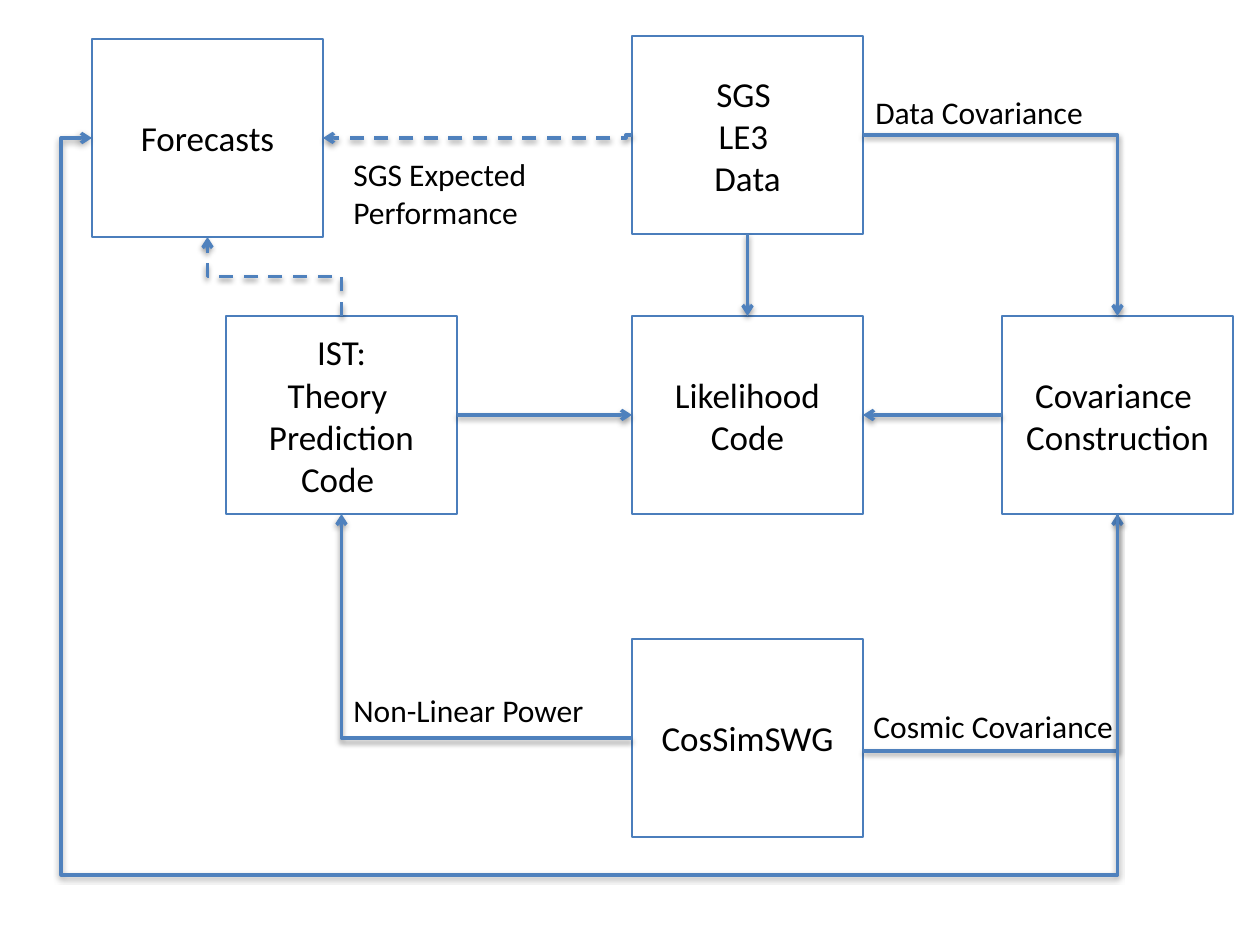
"""Build the pipeline diagram linking forecasts, theory, data and covariance."""
import dataclasses

import lxml.etree
import pptx
import pptx.dml.color
import pptx.enum.dml
import pptx.enum.shapes
import pptx.enum.text
import pptx.oxml
import pptx.oxml.ns
import pptx.util

SCALE = 914400 / 126
BOX_WIDTH, BOX_HEIGHT = 231, 198
SIDES = {"top": (0, 0.5, 0), "left": (1, 0, 0.5), "bottom": (2, 0.5, 1), "right": (3, 1, 0.5)}

BOXES = {
    "likelihood": (632, 316, "Likelihood\nCode"),
    "data": (632, 36, "SGS \nLE3 \nData"),
    "theory": (226, 316, "IST:\nTheory \nPrediction\nCode "),
    "covariance": (1002, 316, "Covariance \nConstruction"),
    "simulation": (632, 639, "CosSimSWG"),
    "forecasts": (92, 39, "Forecasts"),
}

LABELS = [
    (863, 87, 237, 50, "Data Covariance"),
    (861, 701, 268, 50, "Cosmic Covariance"),
    (341, 685, 258, 50, "Non-Linear Power"),
    (341, 149, 200, 89, "SGS Expected\nPerformance"),
]

ROUTES = [
    ("data", "bottom", "likelihood", "top", {"bends": 3, "turn": 90, "adjust": [0.06]}),
    ("data", "right", "covariance", "top", {"bends": 2}),
    ("simulation", "right", "covariance", "bottom", {"bends": 2, "flip": "flipV", "drop": 13}),
    ("simulation", "left", "theory", "bottom", {"bends": 2, "turn": 180}),
    ("theory", "right", "likelihood", "left", {"bends": 3, "adjust": [0.01]}),
    ("covariance", "left", "likelihood", "right", {"bends": 3, "turn": 180, "adjust": [0.03]}),
    ("theory", "top", "forecasts", "bottom",
     {"bends": 3, "turn": 270, "flip": "flipV", "adjust": [0.5], "dashed": True}),
    ("data", "left", "forecasts", "right",
     {"bends": 3, "turn": 180, "flip": "flipV", "adjust": [0.02], "dashed": True}),
    ("covariance", "bottom", "forecasts", "left",
     {"bends": 4, "turn": 90, "flip": "flipH", "adjust": [-0.96, 1.03]}),
]


@dataclasses.dataclass(frozen=True)
class Theme:
    """Hold the colours, font and sizes of the diagram."""
    font: str = "Calibri"
    text: str = "000000"
    outline: str = "4B7EBC"
    arrow: str = "4F81BD"
    box_size: int = 20
    label_size: int = 18
    outline_width: float = 0.75
    arrow_width: int = 2


THEME = Theme()


def px(length):
    """Turn pixels into EMU."""
    return pptx.util.Emu(round(length * SCALE))


def set_attributes(target, values):
    """Set each named attribute of the target."""
    for name, value in values.items():
        setattr(target, name, value)


def write_text(shape, text, size, frame_format, alignment):
    """Write one paragraph per line of text."""
    frame = shape.text_frame
    set_attributes(frame, frame_format)
    frame.text = text
    for para in frame.paragraphs:
        para.alignment = alignment
        for span in para.runs:
            set_attributes(span.font, {"name": THEME.font, "size": pptx.util.Pt(size)})
            span.font.color.rgb = pptx.dml.color.RGBColor.from_string(THEME.text)


def format_line(line, colour, width):
    """Give a line its colour and width."""
    line.color.rgb = pptx.dml.color.RGBColor.from_string(colour)
    line.width = pptx.util.Pt(width)


def add_box(slide, left, top, text):
    """Add an outlined box with centred text."""
    box = slide.shapes.add_shape(pptx.enum.shapes.MSO_SHAPE.RECTANGLE,
                                 px(left), px(top), px(BOX_WIDTH), px(BOX_HEIGHT))
    box.shadow.inherit = False
    box.fill.background()
    format_line(box.line, THEME.outline, THEME.outline_width)
    write_text(box, text, THEME.box_size,
               {"vertical_anchor": pptx.enum.text.MSO_ANCHOR.MIDDLE, "word_wrap": True},
               pptx.enum.text.PP_ALIGN.CENTER)
    return box


def add_label(slide, left, top, width, height, text):
    """Add an unwrapped label beside an arrow."""
    label = slide.shapes.add_textbox(px(left), px(top), px(width), px(height))
    write_text(label, text, THEME.label_size,
               {"word_wrap": False, "auto_size": pptx.enum.text.MSO_AUTO_SIZE.SHAPE_TO_FIT_TEXT},
               pptx.enum.text.PP_ALIGN.LEFT)


def add_child(parent, tag, **attributes):
    """Append a drawing element with its attributes."""
    child = lxml.etree.SubElement(parent, pptx.oxml.ns.qn(tag))
    for name, value in attributes.items():
        child.set(name, str(value))
    return child


def add_shadow(properties):
    """Add a soft shadow below an arrow."""
    effects = add_child(properties, "a:effectLst")
    shadow = add_child(effects, "a:outerShdw", blurRad=40000, dist=20000,
                       dir=5400000, rotWithShape=0)
    add_child(add_child(shadow, "a:srgbClr", val="000000"), "a:alpha", val=38000)


def site_point(box, side, drop=0):
    """Return the middle of a box side, moved down by drop pixels."""
    _, across, down = SIDES[side]
    return box.left + box.width * across, box.top + box.height * down + px(drop)


def place_elbow(connector, start, end, turn, flip):
    """Set the frame whose turned and flipped path joins two points."""
    width, height = (abs(last - first) for first, last in zip(start, end))
    if turn % 180:
        width, height = height, width
    middle_x, middle_y = ((first + last) / 2 for first, last in zip(start, end))
    set_attributes(connector, {
        "left": round(middle_x - width / 2), "top": round(middle_y - height / 2),
        "width": round(width), "height": round(height)})
    transform = connector._element.spPr.find(pptx.oxml.ns.qn("a:xfrm"))
    for name in ("flipH", "flipV"):
        transform.set(name, str(int(name == flip)))
    transform.set("rot", str(turn * 60000))


def add_arrow(slide, source, source_side, target, target_side,
              bends, turn=0, flip="", adjust=(), dashed=False, drop=0):
    """Add an elbow arrow from one box side to another."""
    connector = slide.shapes.add_connector(pptx.enum.shapes.MSO_CONNECTOR.ELBOW, 0, 0, 0, 0)
    if not drop:
        connector.begin_connect(source, SIDES[source_side][0])
    connector.end_connect(target, SIDES[target_side][0])
    place_elbow(connector, site_point(source, source_side, drop),
                site_point(target, target_side), turn, flip)
    properties = connector._element.spPr
    geometry = properties.find(pptx.oxml.ns.qn("a:prstGeom"))
    geometry.set("prst", f"bentConnector{bends}")
    guides = geometry.find(pptx.oxml.ns.qn("a:avLst"))
    for number, share in enumerate(adjust, 1):
        add_child(guides, "a:gd", name=f"adj{number}", fmla=f"val {round(share * 100000)}")
    format_line(connector.line, THEME.arrow, THEME.arrow_width)
    if dashed:
        connector.line.dash_style = pptx.enum.dml.MSO_LINE.DASH
    add_child(properties.find(pptx.oxml.ns.qn("a:ln")), "a:tailEnd", type="arrow")
    add_shadow(properties)


def main():
    """Build and save the slide."""
    deck = pptx.Presentation()
    set_attributes(deck, {"slide_width": px(1260), "slide_height": px(945)})
    page = deck.slides.add_slide(deck.slide_layouts[6])
    boxes = {name: add_box(page, *values) for name, values in BOXES.items()}
    for source, source_side, target, target_side, style in ROUTES:
        add_arrow(page, boxes[source], source_side, boxes[target], target_side, **style)
    for label in LABELS:
        add_label(page, *label)
    deck.save("out.pptx")


if __name__ == "__main__":
    main()
